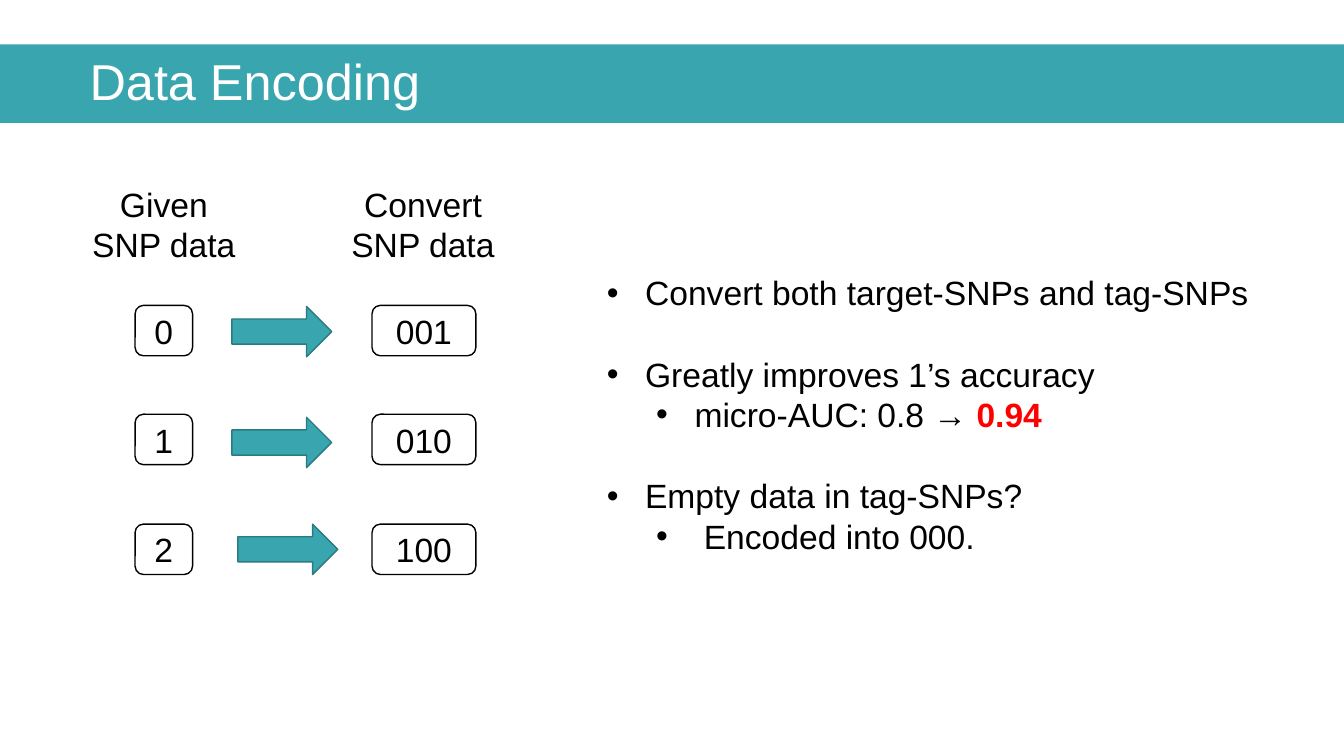
from dataclasses import dataclass

from lxml import etree
from pptx import Presentation, util as u
from pptx.dml.color import RGBColor
from pptx.enum import shapes, text
from pptx.oxml.ns import qn

PX = 9144  # EMU per px, 100 px to the inch
TEAL = RGBColor(0x39, 0xA5, 0xAE)
DARK_TEAL = RGBColor(0x2A, 0x7A, 0x81)
RED = RGBColor(0xFF, 0x00, 0x00)
BLACK = RGBColor(0x00, 0x00, 0x00)
WHITE = RGBColor(0xFF, 0xFF, 0xFF)
LINE_HEIGHT = u.Pt(29)


@dataclass
class Encoding:
    given: str
    converted: str
    arrow_left: int
    arrow_top: int


@dataclass
class Point:
    wording: str
    level: int = 0
    highlight: str = ""


ENCODINGS = [
    Encoding("0", "001", 230, 304),
    Encoding("1", "010", 230, 414),
    Encoding("2", "100", 236, 520),
]
POINTS = [
    Point("Convert both target-SNPs and tag-SNPs"),
    Point("Greatly improves 1’s accuracy"),
    Point("micro-AUC: 0.8 → ", 1, "0.94"),
    Point("Empty data in tag-SNPs?"),
    Point(" Encoded into 000.", 1),
]


def format_run(run, color: RGBColor = BLACK, size: int = 24) -> None:
    run.font.name = "Arial"
    run.font.size = u.Pt(size)
    run.font.color.rgb = color


def add_text(slide, left: int, top: int, width: int, height: int):
    frame = slide.shapes.add_textbox(
        left * PX, top * PX, width * PX, height * PX).text_frame
    frame.word_wrap = True
    return frame


def add_figure(slide, kind, left: int, top: int, width: int, height: int,
               fill: RGBColor, outline: RGBColor | None = None):
    figure = slide.shapes.add_shape(
        kind, left * PX, top * PX, width * PX, height * PX)
    figure.shadow.inherit = False
    figure.fill.solid()
    figure.fill.fore_color.rgb = fill
    if outline is None:
        figure.line.fill.background()
    else:
        figure.line.color.rgb = outline
        figure.line.width = u.Pt(1)
    return figure


def write_centred(frame, wording: str) -> None:
    frame.text = wording
    label = frame.paragraphs[0]
    label.alignment = text.PP_ALIGN.CENTER
    label.line_spacing = LINE_HEIGHT
    format_run(label.runs[0])


def add_code(slide, wording: str, left: int, top: int, width: int) -> None:
    code = add_figure(slide, shapes.MSO_SHAPE.ROUNDED_RECTANGLE,
                      left, top, width, 50, WHITE, BLACK)
    code.text_frame.vertical_anchor = text.MSO_ANCHOR.MIDDLE
    write_centred(code.text_frame, wording)


def set_bullet(paragraph, margin: int, hanging: int) -> None:
    properties = paragraph._p.get_or_add_pPr()
    properties.set("marL", str(margin * PX))
    properties.set("indent", str(-hanging * PX))
    etree.SubElement(properties, qn("a:buFont")).set("typeface", "Arial")
    etree.SubElement(properties, qn("a:buChar")).set("char", "•")


def add_points(slide) -> None:
    frame = add_text(slide, 592, 265, 690, 293)
    for index, point in enumerate(POINTS):
        line = frame.add_paragraph() if index else frame.paragraphs[0]
        line.text = point.wording
        line.level = point.level
        line.line_spacing = LINE_HEIGHT
        if index and point.level == 0:
            line.space_before = LINE_HEIGHT
        set_bullet(line, 87 if point.level else 38, 38)
        format_run(line.runs[0])
        if point.highlight:
            result = line.add_run()
            result.text = point.highlight
            format_run(result, RED)
            result.font.bold = True


def main() -> None:
    deck = Presentation()
    deck.slide_width, deck.slide_height = 1333 * PX, 750 * PX
    slide = deck.slides.add_slide(deck.slide_layouts[6])

    # Title band
    add_figure(slide, shapes.MSO_SHAPE.RECTANGLE, 0, 44, 1333, 78, TEAL)
    title = add_text(slide, 79, 44, 1191, 78)
    title.vertical_anchor = text.MSO_ANCHOR.MIDDLE
    title.text = "Data Encoding"
    title.paragraphs[0].line_spacing = 0.9
    format_run(title.paragraphs[0].runs[0], WHITE, 36)

    # Column headings
    for heading, left in (("Given SNP data", 78), ("Convert SNP data", 335)):
        write_centred(add_text(slide, left, 177, 169, 91), heading)

    # Encoding rows
    for row, encoding in enumerate(ENCODINGS):
        top = 303 + row * 217 // 2
        add_code(slide, encoding.given, 134, top, 57)
        add_figure(slide, shapes.MSO_SHAPE.RIGHT_ARROW, encoding.arrow_left,
                   encoding.arrow_top, 99, 50, TEAL, DARK_TEAL)
        add_code(slide, encoding.converted, 369, top, 103)

    # Findings
    add_points(slide)
    deck.save("out.pptx")


if __name__ == "__main__":
    main()
